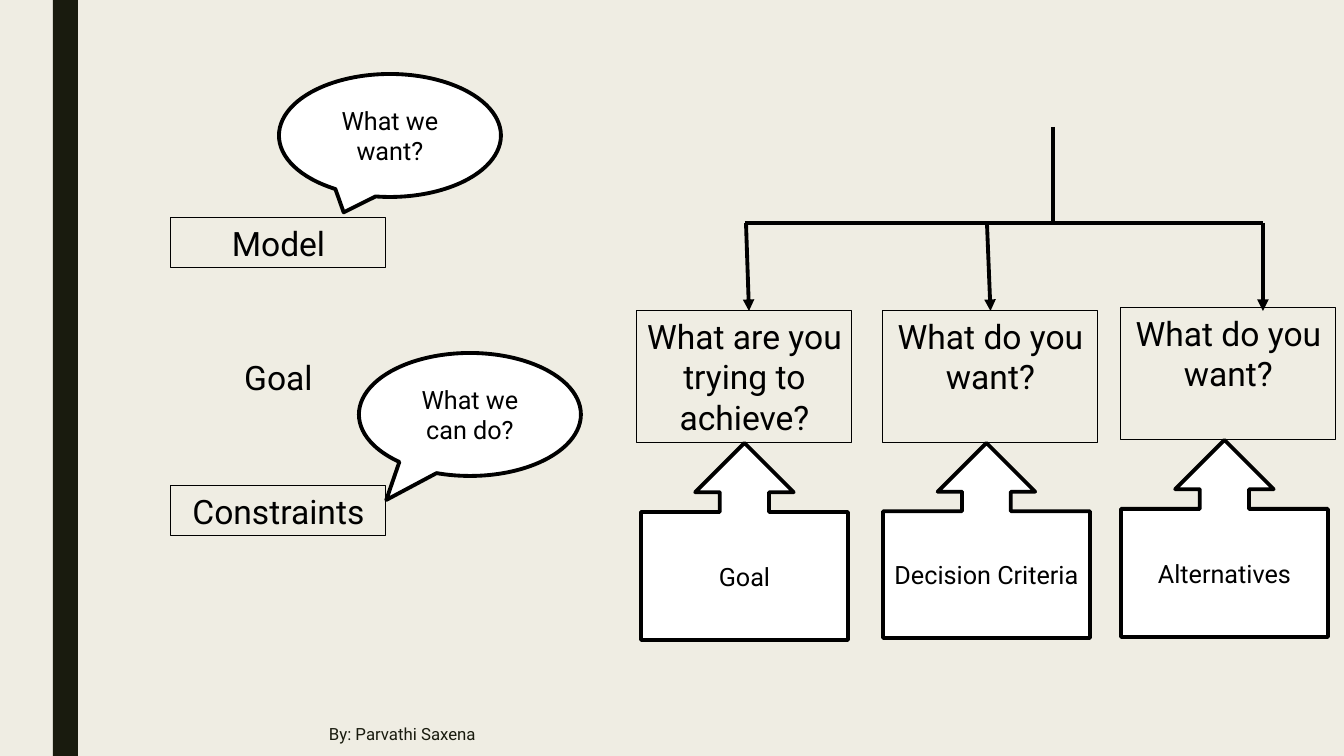
from dataclasses import dataclass
from lxml import etree
from pptx import Presentation
from pptx.dml.color import RGBColor
from pptx.enum.shapes import MSO_CONNECTOR, MSO_SHAPE
from pptx.enum.text import MSO_ANCHOR, PP_ALIGN
from pptx.oxml.ns import qn
from pptx.util import Emu, Pt

RECT, BALLOON = MSO_SHAPE.RECTANGLE, MSO_SHAPE.OVAL_CALLOUT
ARROW_BOX = MSO_SHAPE.UP_ARROW_CALLOUT
STRAIGHT = MSO_CONNECTOR.STRAIGHT
TOP, MIDDLE = MSO_ANCHOR.TOP, MSO_ANCHOR.MIDDLE
LEFT, CENTER = PP_ALIGN.LEFT, PP_ALIGN.CENTER


@dataclass(frozen=True)
class Theme:
    font: str = "Roboto"
    paper: str = "EFEDE3"
    bar: str = "191B0E"
    ink: str = "000000"
    white: str = "FFFFFF"
    large: int = 24
    medium: int = 18
    small: int = 12
    thin: float = 0.75
    thick: float = 2.75


THEME = Theme()
SLIDE = (1344, 756)
SIDE_BAR = (53, 0, 25, 756)

TERMS = [("Model", True), ("Goal", False), ("Constraints", True)]
TERM_LEFT, TERM_TOP, TERM_STEP = 171, 218, 134
TERM_SIZE = (215, 50)

BALLOONS = [
    ("What we want?", 279, 74, None),
    ("What we can do?", 359, 353, (-0.377, 0.695)),
]
BALLOON_SIZE = (222, 123)

COLUMNS = [
    {"question": "What are you trying to achieve?", "topic": "Goal",
     "left": 637, "top": 311, "topic_left": 641, "topic_height": 197,
     "arrow": (746, 749), "joined": False},
    {"question": "What do you want?", "topic": "Decision Criteria",
     "left": 883, "top": 311, "topic_left": 883, "topic_height": 195,
     "arrow": (987, 990), "joined": True},
    {"question": "What do you want?", "topic": "Alternatives",
     "left": 1121, "top": 308, "topic_left": 1121, "topic_height": 197,
     "arrow": (1263, 1263), "joined": False},
]
QUESTION_SIZE = (215, 132)
TOPIC_WIDTH = 207
TRUNK_X, TRUNK_TOP, BRANCH_Y, ARROW_END = 1053, 127, 223, 311
BRANCH_LEFT, BRANCH_RIGHT = 745, 1263

AUTHOR = "By: Parvathi Saxena"
AUTHOR_BOX = (319, 712, 693, 44)


def px(length):
    return Emu(round(length * 914400 / 100.8))


def color(code):
    return RGBColor.from_string(code)


def write(shape, text, size, anchor, align=CENTER, ink=THEME.ink):
    frame = shape.text_frame
    frame.word_wrap = True
    frame.vertical_anchor = anchor
    frame.text = text
    paragraph = frame.paragraphs[0]
    paragraph.alignment = align
    font = paragraph.runs[0].font
    font.name, font.size = THEME.font, Pt(size)
    font.color.rgb = color(ink)


def add_shape(slide, kind, box, fill=None, line=None):
    shape = slide.shapes.add_shape(kind, *map(px, box))
    shape.shadow.inherit = False
    if fill:
        shape.fill.solid()
        shape.fill.fore_color.rgb = color(fill)
    else:
        shape.fill.background()
    if line:
        shape.line.color.rgb = color(THEME.ink)
        shape.line.width = Pt(line)
    else:
        shape.line.fill.background()
    return shape


def add_text(slide, text, box, size, anchor, align=CENTER, ink=THEME.ink):
    write(slide.shapes.add_textbox(*map(px, box)), text, size, anchor, align, ink)


def add_line(slide, start, end, arrow=False):
    line = slide.shapes.add_connector(STRAIGHT, *map(px, start + end))
    line.line.color.rgb = color(THEME.ink)
    line.line.width = Pt(THEME.thick)
    properties = line._element.spPr
    if arrow:
        etree.SubElement(properties.find(qn("a:ln")), qn("a:tailEnd"), type="triangle")
    etree.SubElement(properties, qn("a:effectLst"))
    return line


def add_terms(slide):
    for row, (term, framed) in enumerate(TERMS):
        box = (TERM_LEFT, TERM_TOP + row * TERM_STEP, *TERM_SIZE)
        if framed:
            write(add_shape(slide, RECT, box, line=THEME.thin), term, THEME.large, TOP)
        else:
            add_text(slide, term, box, THEME.large, TOP)
    for thought, left, top, tip in BALLOONS:
        balloon = add_shape(slide, BALLOON, (left, top, *BALLOON_SIZE), THEME.white, THEME.thick)
        if tip:
            balloon.adjustments[0], balloon.adjustments[1] = tip
        write(balloon, thought, THEME.medium, MIDDLE)


def add_tree(slide):
    add_line(slide, (TRUNK_X, TRUNK_TOP), (TRUNK_X, BRANCH_Y))
    add_line(slide, (BRANCH_LEFT, BRANCH_Y), (BRANCH_RIGHT, BRANCH_Y))
    for column in COLUMNS:
        question = add_shape(slide, RECT, (column["left"], column["top"], *QUESTION_SIZE),
                             line=THEME.thin)
        write(question, column["question"], THEME.large, TOP)
        start, end = column["arrow"]
        arrow = add_line(slide, (start, BRANCH_Y), (end, ARROW_END), arrow=True)
        if column["joined"]:
            arrow.end_connect(question, 0)
        topic_top = column["top"] + QUESTION_SIZE[1]
        topic = add_shape(slide, ARROW_BOX,
                          (column["topic_left"], topic_top, TOPIC_WIDTH, column["topic_height"]),
                          THEME.white, THEME.thick)
        write(topic, column["topic"], THEME.medium, MIDDLE)


def main():
    deck = Presentation()
    deck.slide_width, deck.slide_height = map(px, SLIDE)
    slide = deck.slides.add_slide(deck.slide_layouts[6])
    slide.background.fill.solid()
    slide.background.fill.fore_color.rgb = color(THEME.paper)
    add_shape(slide, RECT, SIDE_BAR, THEME.bar)
    add_terms(slide)
    add_tree(slide)
    add_text(slide, AUTHOR, AUTHOR_BOX, THEME.small, MIDDLE, LEFT, THEME.bar)
    deck.save("out.pptx")


if __name__ == "__main__":
    main()
